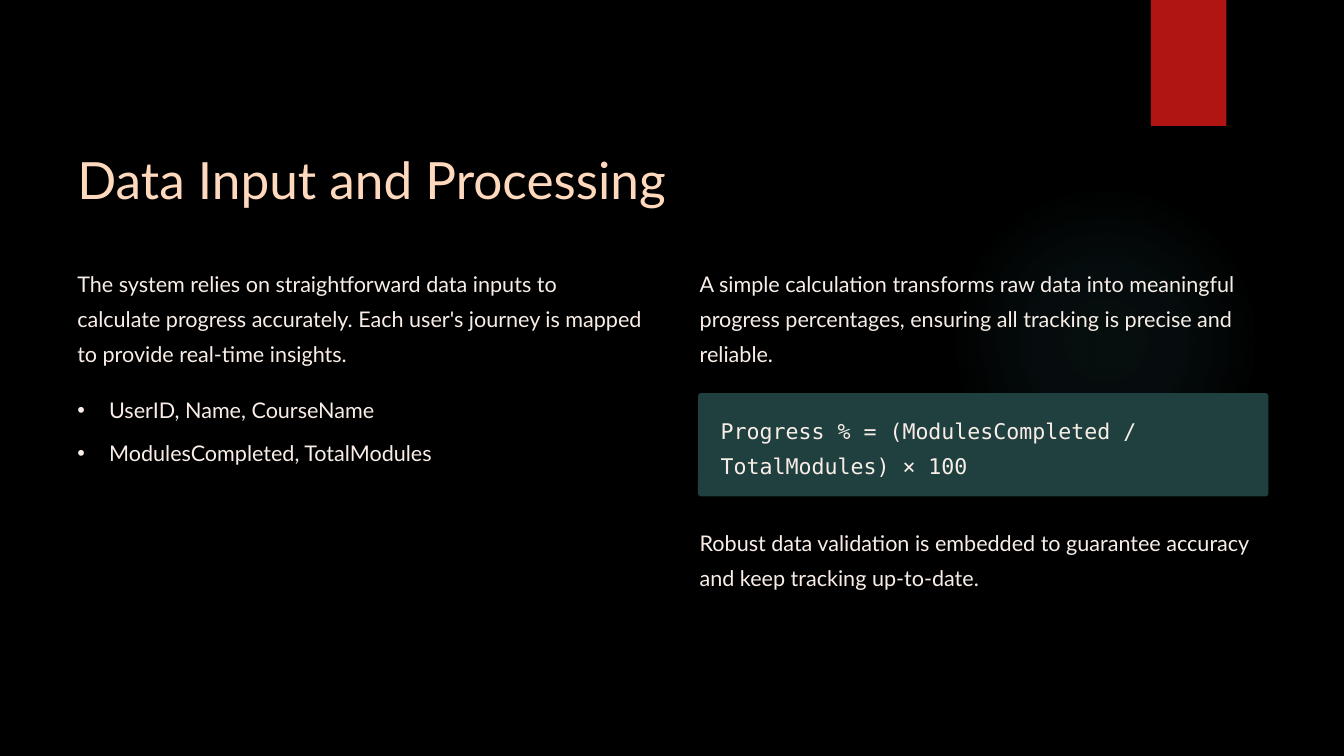
from dataclasses import dataclass

from lxml.etree import SubElement
from pptx import Presentation
from pptx.dml.color import RGBColor
from pptx.enum.shapes import MSO_SHAPE
from pptx.enum.text import MSO_ANCHOR, PP_ALIGN
from pptx.oxml.ns import qn
from pptx.shapes.autoshape import Shape
from pptx.slide import Slide
from pptx.util import Inches, Pt

COLS, ROWS = 16, 9
SLIDE_W, SLIDE_H = Inches(16), Inches(9)
LEFT, RIGHT, COLUMN_W = 0.92, 8.33, 6.76
BODY_TOP = 3.12
INDENT = 0.38
COLORS = {
    "background": "000000",
    "accent": "B01513",
    "glow": "50B9C1",
    "title": "FFD9BE",
    "body": "F9EEE7",
    "panel": "1F403F",
}


@dataclass(frozen=True)
class Box:
    """A place on the slide, in grid columns and rows."""
    col: float
    row: float
    cols: float
    rows: float

    def emu(self) -> tuple[int, int, int, int]:
        return (round(self.col * SLIDE_W / COLS), round(self.row * SLIDE_H / ROWS),
                round(self.cols * SLIDE_W / COLS), round(self.rows * SLIDE_H / ROWS))


@dataclass(frozen=True)
class TextBlock:
    box: Box
    paragraphs: tuple[str, ...]
    size: float = 18.5
    leading: float = 30
    font: str = "Lato"
    color: str = "body"
    bullet: bool = False


GLOW = Box(11.3, 2.2, 3.7, 3.7)
GLOW_STOPS = ((0, 7), (36, 6), (69, 0))
RIBBON = Box(13.7, 0, 0.9, 1.5)
FORMULA_PANEL = Box(8.31, 4.68, 6.79, 1.23)

TEXTS = (
    TextBlock(Box(LEFT, 1.73, 7.25, 0.77), ("Data Input and Processing",),
              size=44, leading=55, color="title"),
    TextBlock(Box(LEFT, BODY_TOP, COLUMN_W, 1.26),
              ("The system relies on straightforward data inputs to calculate progress "
               "accurately. Each user's journey is mapped to provide real-time insights.",)),
    TextBlock(Box(LEFT, 4.62, COLUMN_W, 0.93),
              ("UserID, Name, CourseName", "ModulesCompleted, TotalModules"), bullet=True),
    TextBlock(Box(RIGHT, BODY_TOP, COLUMN_W, 1.26),
              ("A simple calculation transforms raw data into meaningful progress "
               "percentages, ensuring all tracking is precise and reliable.",)),
    TextBlock(Box(8.58, 4.87, 6.27, 0.84),
              ("Progress % = (ModulesCompleted / TotalModules) × 100",),
              font="DejaVu Sans Mono"),
    TextBlock(Box(RIGHT, 6.2, COLUMN_W, 0.84),
              ("Robust data validation is embedded to guarantee accuracy "
               "and keep tracking up-to-date.",)),
)


def rgb(name: str) -> RGBColor:
    return RGBColor.from_string(COLORS[name])


def add_panel(slide: Slide, kind: MSO_SHAPE, box: Box, color: str) -> Shape:
    sp = slide.shapes.add_shape(kind, *box.emu())
    sp.shadow.inherit = False
    sp.fill.solid()
    sp.fill.fore_color.rgb = rgb(color)
    sp.line.fill.background()
    return sp


def add_glow(slide: Slide) -> None:
    """Add a circle that fades out from its centre."""
    sp = add_panel(slide, MSO_SHAPE.OVAL, GLOW, "glow")
    solid = sp._element.spPr.find(qn("a:solidFill"))
    grad = solid.makeelement(qn("a:gradFill"), {"rotWithShape": "1"})
    stops = SubElement(grad, qn("a:gsLst"))
    for position, alpha in GLOW_STOPS:
        stop = SubElement(stops, qn("a:gs"), pos=str(position * 1000))
        color = SubElement(stop, qn("a:srgbClr"), val=COLORS["glow"])
        SubElement(color, qn("a:alpha"), val=str(alpha * 1000))
    circle = SubElement(grad, qn("a:path"), {"path": "circle"})
    SubElement(circle, qn("a:fillToRect"), dict.fromkeys("ltrb", "50000"))
    solid.getparent().replace(solid, grad)


def add_paragraph(p, text: str, *, size: float, leading: float, font: str,
                  color: str, bullet: bool) -> None:
    p.alignment = PP_ALIGN.LEFT
    p.line_spacing = Pt(leading)
    r = p.add_run()
    r.text = text
    r.font.size = Pt(size)
    r.font.name = font
    r.font.color.rgb = rgb(color)
    if bullet:
        pPr = p._p.get_or_add_pPr()
        pPr.set("marL", str(Inches(INDENT)))
        pPr.set("indent", str(-Inches(INDENT)))
        SubElement(pPr, qn("a:buFont"), typeface="Arial")
        SubElement(pPr, qn("a:buChar"), char="•")


def add_text(slide: Slide, block: TextBlock) -> None:
    tf = slide.shapes.add_textbox(*block.box.emu()).text_frame
    tf.word_wrap = True
    tf.vertical_anchor = MSO_ANCHOR.TOP
    tf.margin_left = tf.margin_right = tf.margin_top = tf.margin_bottom = 0
    for i, text in enumerate(block.paragraphs):
        p = tf.add_paragraph() if i else tf.paragraphs[0]
        if i:
            p.space_before = Pt(6.7)
        add_paragraph(p, text, size=block.size, leading=block.leading,
                      font=block.font, color=block.color, bullet=block.bullet)


def main() -> None:
    prs = Presentation()
    prs.slide_width, prs.slide_height = SLIDE_W, SLIDE_H
    slide = prs.slides.add_slide(prs.slide_layouts[6])
    slide.background.fill.solid()
    slide.background.fill.fore_color.rgb = rgb("background")

    add_glow(slide)
    add_panel(slide, MSO_SHAPE.RECTANGLE, RIBBON, "accent")
    panel = add_panel(slide, MSO_SHAPE.ROUNDED_RECTANGLE, FORMULA_PANEL, "panel")
    panel.adjustments[0] = 0.03
    for block in TEXTS:
        add_text(slide, block)
    prs.save("out.pptx")


if __name__ == "__main__":
    main()
